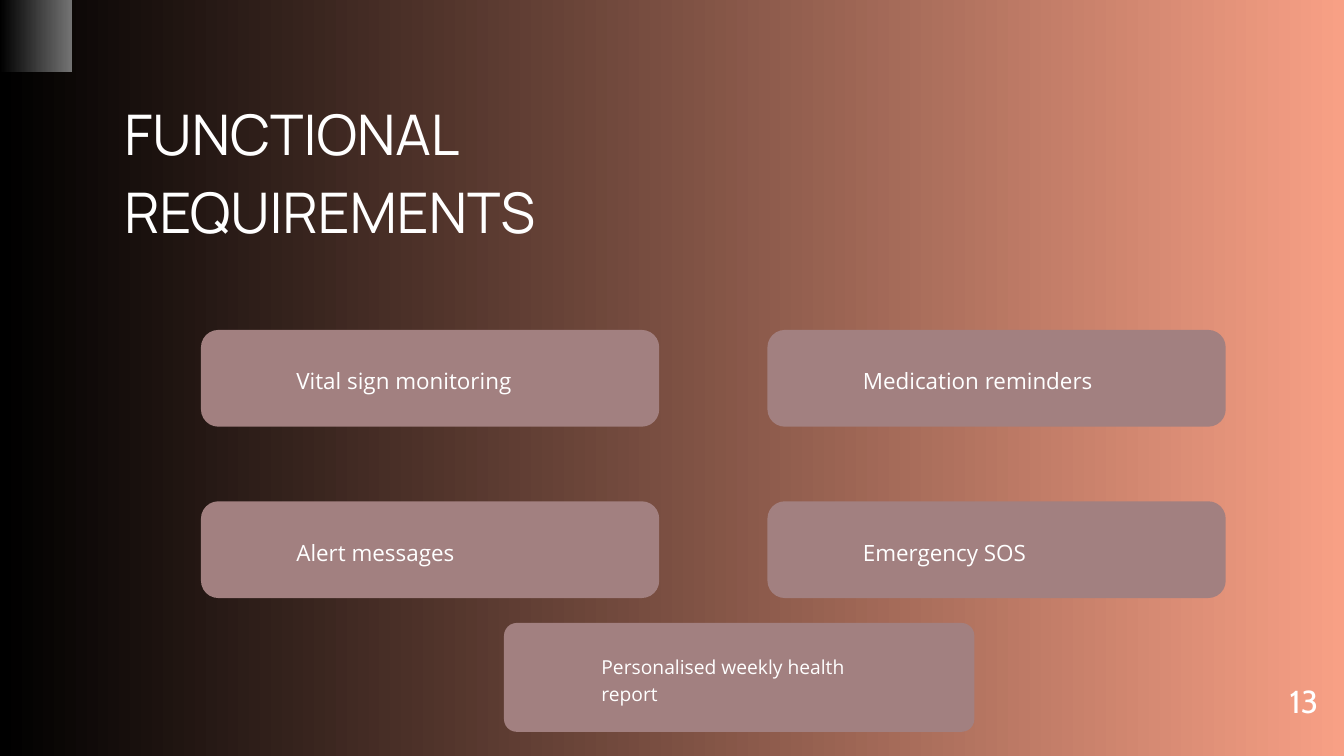
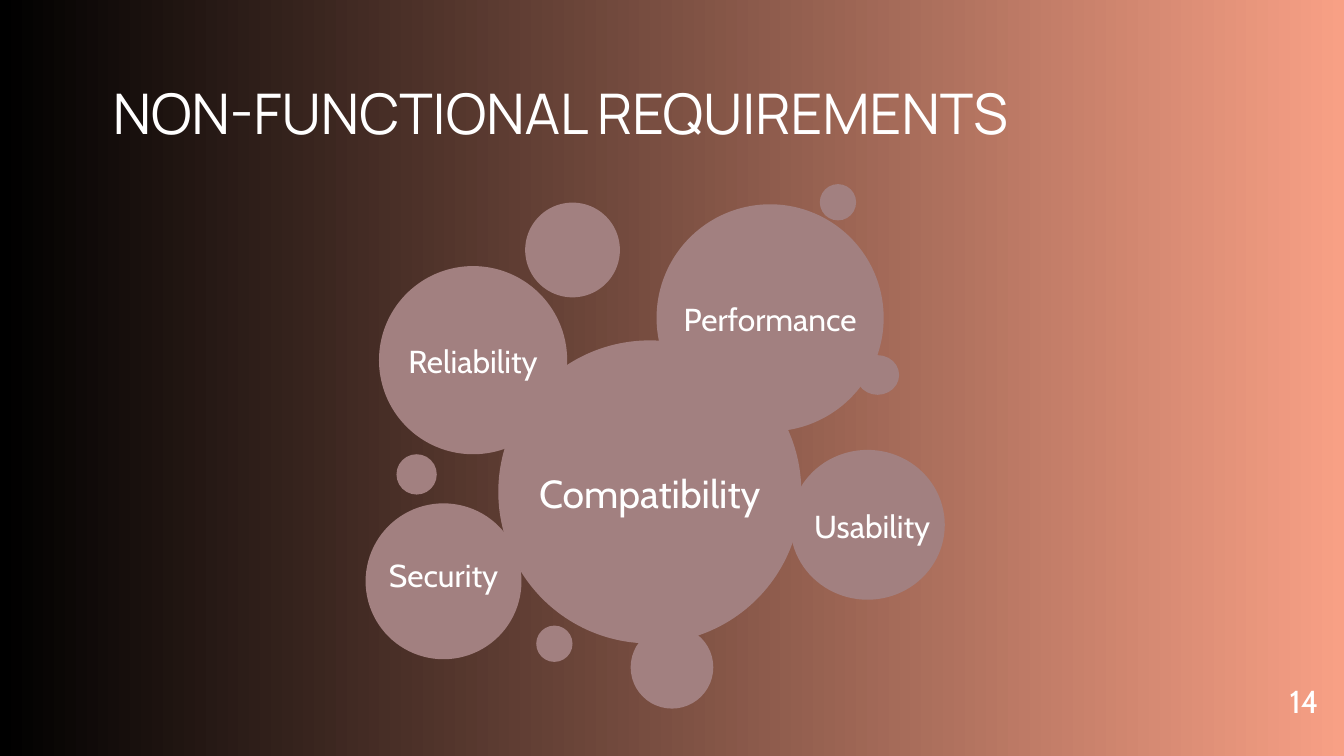
from pptx import Presentation
from pptx import util as u
from pptx.dml.color import RGBColor
from pptx.enum import shapes, text

WIDTH, HEIGHT = 20, 11.25
BLACK, CORAL, GREY, MAUVE, WHITE = "000000", "F8A085", "737373", "A28080", "FFFFFF"
TITLE_FONT, CARD_FONT, LABEL_FONT = "Manrope", "Open Sans", "Cabin"
LEADING = 1.4

CARDS = [
    ["Vital sign monitoring", "Medication reminders"],
    ["Alert messages", "Emergency SOS"],
]
CARD_LEFT, CARD_TOP, CARD_STEP_X, CARD_STEP_Y = 2.99, 4.91, 8.43, 2.55
CARD_SIZE = (6.82, 1.44)
WIDE_CARD = ("Personalised weekly health report", (7.5, 9.27, 7, 1.62))

# name, centre x, centre y, width, height, label shift x, label shift y, size
BUBBLES = [
    ("Performance", 11.46, 4.73, 3.38, 3.38, 0, -0.04, 34),
    ("Compatibility", 9.67, 7.32, 4.51, 4.51, 0, -0.04, 41.9),
    ("Reliability", 7.04, 5.36, 2.8, 2.8, 0, -0.04, 34),
    ("Usability", 12.91, 7.81, 2.3, 2.23, 0.07, -0.03, 34),
    ("Security", 6.6, 8.65, 2.32, 2.32, 0, -0.15, 34),
]
DOTS = [
    (8.52, 3.72, 1.41, 1.41),
    (13.06, 5.58, 0.64, 0.59),
    (12.47, 3.01, 0.54, 0.54),
    (6.2, 7.06, 0.6, 0.6),
    (8.25, 9.58, 0.54, 0.54),
    (10, 9.93, 1.23, 1.23),
]


def colour(value):
    return RGBColor.from_string(value)


def inches(*lengths):
    return [u.Inches(length) for length in lengths]


def fade(fill, start, end):
    fill.gradient()
    fill.gradient_angle = 0
    for stop, value, position in zip(fill.gradient_stops, (start, end), (0, 1)):
        stop.color.rgb = colour(value)
        stop.position = position


def add_shape(slide, kind, area):
    shape = slide.shapes.add_shape(kind, *inches(*area))
    shape.shadow.inherit = False
    shape.line.fill.background()
    shape.fill.solid()
    shape.fill.fore_color.rgb = colour(MAUVE)
    return shape


def add_text(slide, words, area, font, size, align=text.PP_ALIGN.LEFT):
    box = slide.shapes.add_textbox(*inches(*area))
    frame = box.text_frame
    frame.margin_left = frame.margin_right = frame.margin_top = frame.margin_bottom = 0
    frame.word_wrap = True
    frame.text = words
    para = frame.paragraphs[0]
    para.alignment = align
    para.line_spacing = u.Pt(round(size * LEADING, 1))
    span = para.runs[0].font
    span.name, span.size = font, u.Pt(size)
    span.color.rgb = colour(WHITE)


def add_slide(deck, title, title_area, number):
    slide = deck.slides.add_slide(deck.slide_layouts[6])
    fade(slide.background.fill, BLACK, CORAL)
    add_text(slide, title, title_area, TITLE_FONT, 60)
    add_text(slide, str(number), (19.14, 10.05, 0.53, 0.63), LABEL_FONT, 34,
             text.PP_ALIGN.CENTER)
    return slide


def add_card(slide, words, area, radius, inset, size):
    left, top, width, height = area
    card = add_shape(slide, shapes.MSO_SHAPE.ROUNDED_RECTANGLE, area)
    card.adjustments[0] = radius / height
    dx, dy = inset
    add_text(slide, words, (left + dx, top + dy, width - 2 * dx, height - 2 * dy),
             CARD_FONT, size)


def add_bubble(slide, x, y, width, height):
    add_shape(slide, shapes.MSO_SHAPE.OVAL,
              (x - width / 2, y - height / 2, width, height))


def build_functional(deck):
    slide = add_slide(deck, "FUNCTIONAL REQUIREMENTS", (1.85, 1.31, 8.71, 2.27), 13)
    corner = add_shape(slide, shapes.MSO_SHAPE.RECTANGLE, (0, 0, 1.07, 1.07))
    fade(corner.fill, BLACK, GREY)
    for row, names in enumerate(CARDS):
        for column, name in enumerate(names):
            left = CARD_LEFT + column * CARD_STEP_X
            top = CARD_TOP + row * CARD_STEP_Y
            add_card(slide, name, (left, top, *CARD_SIZE), 0.26, (1.42, 0.49), 24)
    words, area = WIDE_CARD
    add_card(slide, words, area, 0.19, (1.45, 0.42), 20.6)


def build_non_functional(deck):
    slide = add_slide(deck, "NON-FUNCTIONAL REQUIREMENTS", (1.68, 1, 14.74, 1.11), 14)
    for name, x, y, width, height, dx, dy, size in BUBBLES:
        add_bubble(slide, x, y, width, height)
    for dot in DOTS:
        add_bubble(slide, *dot)
    for name, x, y, width, height, dx, dy, size in BUBBLES:
        line = size * LEADING / 72
        add_text(slide, name, (x + dx - width / 2, y + dy - line / 2, width, line),
                 LABEL_FONT, size, text.PP_ALIGN.CENTER)


def main():
    deck = Presentation()
    deck.slide_width, deck.slide_height = inches(WIDTH, HEIGHT)
    build_functional(deck)
    build_non_functional(deck)
    deck.save("out.pptx")


if __name__ == "__main__":
    main()
